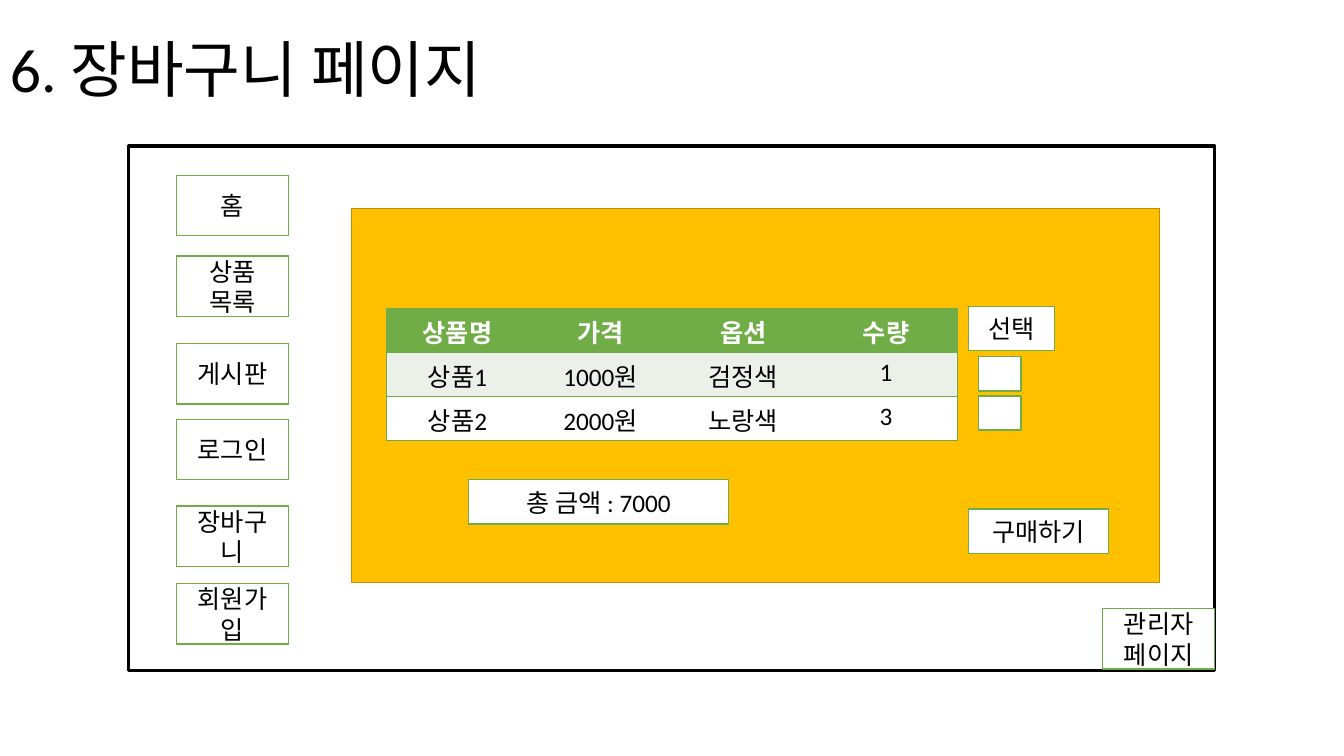
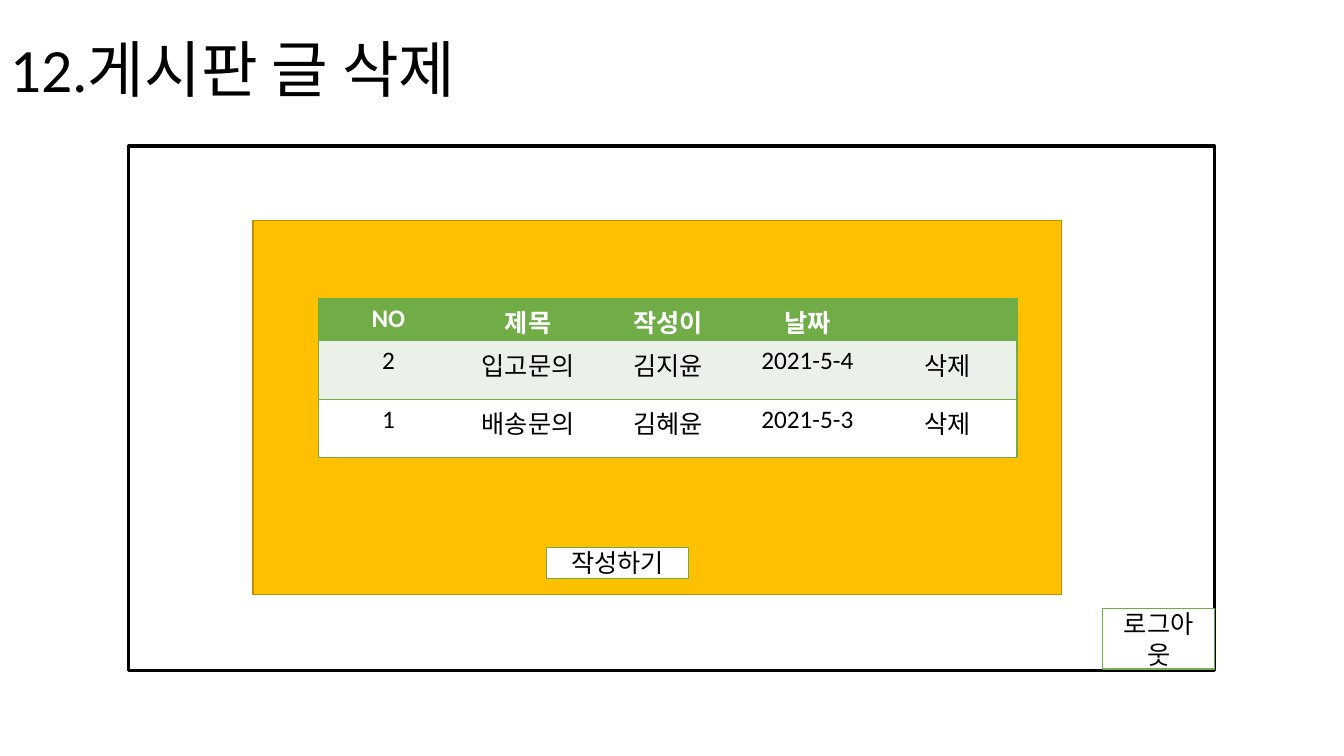
from dataclasses import dataclass

from lxml.etree import SubElement
from pptx import Presentation
from pptx.dml.color import RGBColor
from pptx.enum.shapes import MSO_SHAPE
from pptx.enum.text import MSO_ANCHOR, PP_ALIGN
from pptx.oxml.ns import qn
from pptx.presentation import Presentation as Deck
from pptx.shapes.autoshape import Shape
from pptx.slide import Slide
from pptx.table import _Cell as Cell
from pptx.text.text import TextFrame
from pptx.util import Cm, Pt

BLACK = RGBColor(0x00, 0x00, 0x00)
WHITE = RGBColor(0xFF, 0xFF, 0xFF)
GREEN = RGBColor(0x70, 0xAD, 0x47)
PALE = RGBColor(0xEB, 0xF1, 0xE9)
GOLD = RGBColor(0xFF, 0xC0, 0x00)
BROWN = RGBColor(0xBD, 0x8E, 0x00)
FONT = "Calibri"


@dataclass
class Box:
    left: float
    top: float
    width: float
    height: float
    text: str = ""


@dataclass
class Grid:
    left: float
    top: float
    width: float
    heights: list[float]
    rows: list[list[str]]


@dataclass
class Page:
    title: str
    corner: str
    panel: Box
    grid: Grid
    buttons: list[Box]


def style(frame: TextFrame, size: int, color: RGBColor, bold: bool = False) -> None:
    for par in frame.paragraphs:
        for run in par.runs:
            run.font.name = FONT
            run.font.size = Pt(size)
            run.font.bold = bold
            run.font.color.rgb = color


def draw_box(slide: Slide, box: Box, fill: RGBColor | None = WHITE,
             line: RGBColor = GREEN, weight: float = 1) -> Shape:
    shape = slide.shapes.add_shape(
        MSO_SHAPE.RECTANGLE, Cm(box.left), Cm(box.top), Cm(box.width), Cm(box.height))
    shape.shadow.inherit = False
    if fill is None:
        shape.fill.background()
    else:
        shape.fill.solid()
        shape.fill.fore_color.rgb = fill
    shape.line.color.rgb = line
    shape.line.width = Pt(weight)
    if box.text:
        frame = shape.text_frame
        frame.text = box.text
        frame.vertical_anchor = MSO_ANCHOR.MIDDLE
        frame.paragraphs[0].alignment = PP_ALIGN.CENTER
        style(frame, 18, BLACK)
    return shape


def draw_title(slide: Slide, text: str) -> None:
    frame = slide.shapes.add_textbox(0, 0, Cm(29.21), Cm(3.68)).text_frame
    frame.word_wrap = True
    frame.vertical_anchor = MSO_ANCHOR.MIDDLE
    frame.text = text
    frame.paragraphs[0].line_spacing = 0.9
    style(frame, 44, BLACK)


def set_edges(cell: Cell, first: bool, last: bool) -> None:
    props = cell._tc.get_or_add_tcPr()
    edges = {"a:lnL": first, "a:lnR": last, "a:lnT": True, "a:lnB": True}
    for tag, shown in edges.items():
        edge = SubElement(props, qn(tag), w=str(Pt(1)))
        if shown:
            fill = SubElement(edge, qn("a:solidFill"))
            SubElement(fill, qn("a:srgbClr"), val=str(GREEN))
        else:
            SubElement(edge, qn("a:noFill"))


def draw_grid(slide: Slide, grid: Grid) -> None:
    count = len(grid.rows[0])
    table = slide.shapes.add_table(
        len(grid.rows), count, Cm(grid.left), Cm(grid.top),
        Cm(grid.width), Cm(sum(grid.heights))).table
    table.first_row = False
    table.horz_banding = False
    for row, height in zip(table.rows, grid.heights):
        row.height = Cm(height)
    fills = [GREEN, PALE, WHITE]
    for r, (texts, fill) in enumerate(zip(grid.rows, fills)):
        head = r == 0
        for c, text in enumerate(texts):
            cell = table.cell(r, c)
            set_edges(cell, c == 0, c == count - 1)
            cell.fill.solid()
            cell.fill.fore_color.rgb = fill
            cell.text_frame.text = text
            cell.text_frame.paragraphs[0].alignment = PP_ALIGN.CENTER
            style(cell.text_frame, 18, WHITE if head else BLACK, head)


def draw_page(deck: Deck, page: Page) -> None:
    slide = deck.slides.add_slide(deck.slide_layouts[6])
    draw_title(slide, page.title)
    draw_box(slide, Box(3.25, 3.68, 27.36, 13.21), None, BLACK, 2.25)
    draw_box(slide, Box(27.79, 15.34, 2.82, 1.52, page.corner))
    draw_box(slide, page.panel, GOLD, BROWN)
    draw_grid(slide, page.grid)
    for button in page.buttons:
        draw_box(slide, button)


MENU = {"홈": 4.42, "상품 목록": 6.45, "게시판": 8.66,
        "로그인": 10.57, "장바구니": 12.75, "회원가입": 14.71}

CART = Page(
    "6. 장바구니 페이지", "관리자페이지", Box(8.86, 5.26, 20.37, 9.42),
    Grid(9.73, 7.77, 14.4, [1.11] * 3, [
        ["상품명", "가격", "옵션", "수량"],
        ["상품1", "1000원", "검정색", "1"],
        ["상품2", "2000원", "노랑색", "3"],
    ]),
    [Box(4.45, top, 2.82, 1.52, text) for text, top in MENU.items()]
    + [Box(24.66, top, 1.07, 0.86) for top in (8.99, 9.98)]
    + [
        Box(24.41, 7.72, 2.16, 1.12, "선택"),
        Box(24.41, 12.83, 3.53, 1.12, "구매하기"),
        Box(11.81, 12.09, 6.55, 1.12, "총 금액 : 7000"),
    ],
)

BOARD = Page(
    "12.게시판 글 삭제", "로그아웃", Box(6.38, 5.56, 20.37, 9.42),
    Grid(8.03, 7.52, 17.6, [1.07, 1.47, 1.47], [
        ["NO", "제목", "작성이", "날짜", ""],
        ["2", "입고문의", "김지윤", "2021-5-4", "삭제"],
        ["1", "배송문의", "김혜윤", "2021-5-3", "삭제"],
    ]),
    [Box(13.77, 13.79, 3.58, 0.79, "작성하기")],
)


def main() -> None:
    deck = Presentation()
    deck.slide_width = Cm(33.87)
    deck.slide_height = Cm(19.05)
    for page in (CART, BOARD):
        draw_page(deck, page)
    deck.save("out.pptx")


if __name__ == "__main__":
    main()
